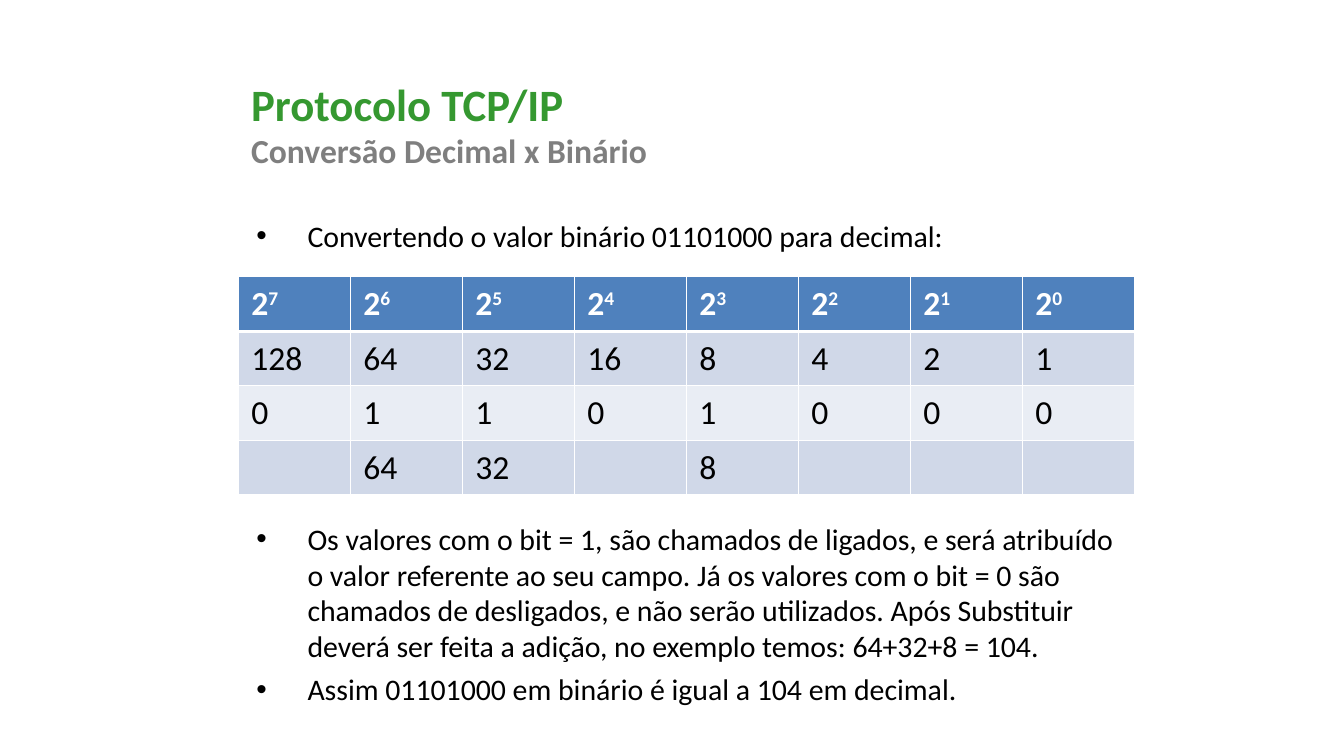
from lxml import etree
from pptx import Presentation
from pptx import util as u
from pptx.dml.color import RGBColor
from pptx.enum import text as txt
from pptx.oxml import ns

FONT = "Calibri"
WHITE, BLACK = "FFFFFF", "000000"
BITS = "01101000"


def color(code):
    return RGBColor.from_string(code)


def add_run(para, words, size=16, ink=BLACK, bold=False, raised=False):
    run = para.add_run()
    run.text = words
    font = run.font
    font.name, font.size, font.bold = FONT, u.Pt(size), bold
    font.color.rgb = color(ink)
    if raised:
        run._r.get_or_add_rPr().set("baseline", "30000")


def add_box(slide, left, top, width, height):
    box = slide.shapes.add_textbox(
        u.Inches(left), u.Inches(top), u.Inches(width), u.Inches(height))
    frame = box.text_frame
    frame.word_wrap = True
    frame.auto_size = txt.MSO_AUTO_SIZE.NONE
    return frame


def add_title(slide):
    para = add_box(slide, 1.77, 0.52, 7.73, 1.03).paragraphs[0]
    add_run(para, "Protocolo TCP/IP", size=24, ink="359830", bold=True)
    para.add_line_break()
    add_run(para, "Conversão Decimal x Binário", size=18, ink="7F7F7F", bold=True)


def add_bullets(slide, items):
    frame = add_box(slide, 1.81, 1.57, 6.61, 3.92)
    for i, (words, gap) in enumerate(items):
        para = frame.add_paragraph() if i else frame.paragraphs[0]
        para.space_before = u.Pt(gap)
        add_run(para, words)
        # Hanging bullet
        props = para._p.get_or_add_pPr()
        props.set("marL", str(u.Inches(0.38)))
        props.set("indent", str(-u.Inches(0.38)))
        font = etree.SubElement(props, ns.qn("a:buFont"))
        font.set("typeface", "Arial")
        etree.SubElement(props, ns.qn("a:buChar")).set("char", "•")


def set_edges(cell, top, bottom):
    props = cell._tc.get_or_add_tcPr()
    for side, width in (("L", 0.45), ("R", 0.45), ("T", top), ("B", bottom)):
        line = etree.SubElement(props, ns.qn(f"a:ln{side}"), w=str(u.Pt(width)))
        fill = etree.SubElement(line, ns.qn("a:solidFill"))
        etree.SubElement(fill, ns.qn("a:srgbClr"), val=WHITE)


def add_grid(slide):
    powers = range(len(BITS) - 1, -1, -1)
    values = [str(2 ** n) for n in powers]
    used = [v if bit == "1" else "" for v, bit in zip(values, BITS)]
    rows = [[str(n) for n in powers], values, BITS, used]
    fills = ["4F81BD", "D0D8E8", "E9EDF4", "D0D8E8"]

    table = slide.shapes.add_table(
        len(rows), len(BITS), u.Inches(1.77), u.Inches(2.06),
        u.Inches(6.67), u.Inches(1.62)).table
    for r, (row, fill) in enumerate(zip(rows, fills)):
        for c, words in enumerate(row):
            cell = table.cell(r, c)
            set_edges(cell, top=1.47 if r == 1 else 0.45,
                      bottom=1.47 if r == 0 else 0.45)
            cell.fill.solid()
            cell.fill.fore_color.rgb = color(fill)
            para = cell.text_frame.paragraphs[0]
            if r == 0:
                add_run(para, "2", size=18, ink=WHITE, bold=True)
                add_run(para, words, size=18, ink=WHITE, bold=True, raised=True)
            elif words:
                add_run(para, words, size=18)


def main():
    deck = Presentation()
    # Widescreen, 16:9
    deck.slide_width = u.Inches(10)
    deck.slide_height = u.Inches(10 * 9 / 16)
    slide = deck.slides.add_slide(deck.slide_layouts[6])

    add_title(slide)
    add_grid(slide)
    # The second item's gap leaves room for the table
    add_bullets(slide, [
        ("Convertendo o valor binário 01101000 para decimal:", 4),
        ("Os valores com o bit = 1, são chamados de ligados, e será atribuído "
         "o valor referente ao seu campo. Já os valores com o bit = 0 são "
         "chamados de desligados, e não serão utilizados. Após Substituir "
         "deverá ser feita a adição, no exemplo temos: 64+32+8 = 104.", 143),
        ("Assim 01101000 em binário é igual a 104 em decimal.", 4),
    ])
    deck.save("out.pptx")


if __name__ == "__main__":
    main()
